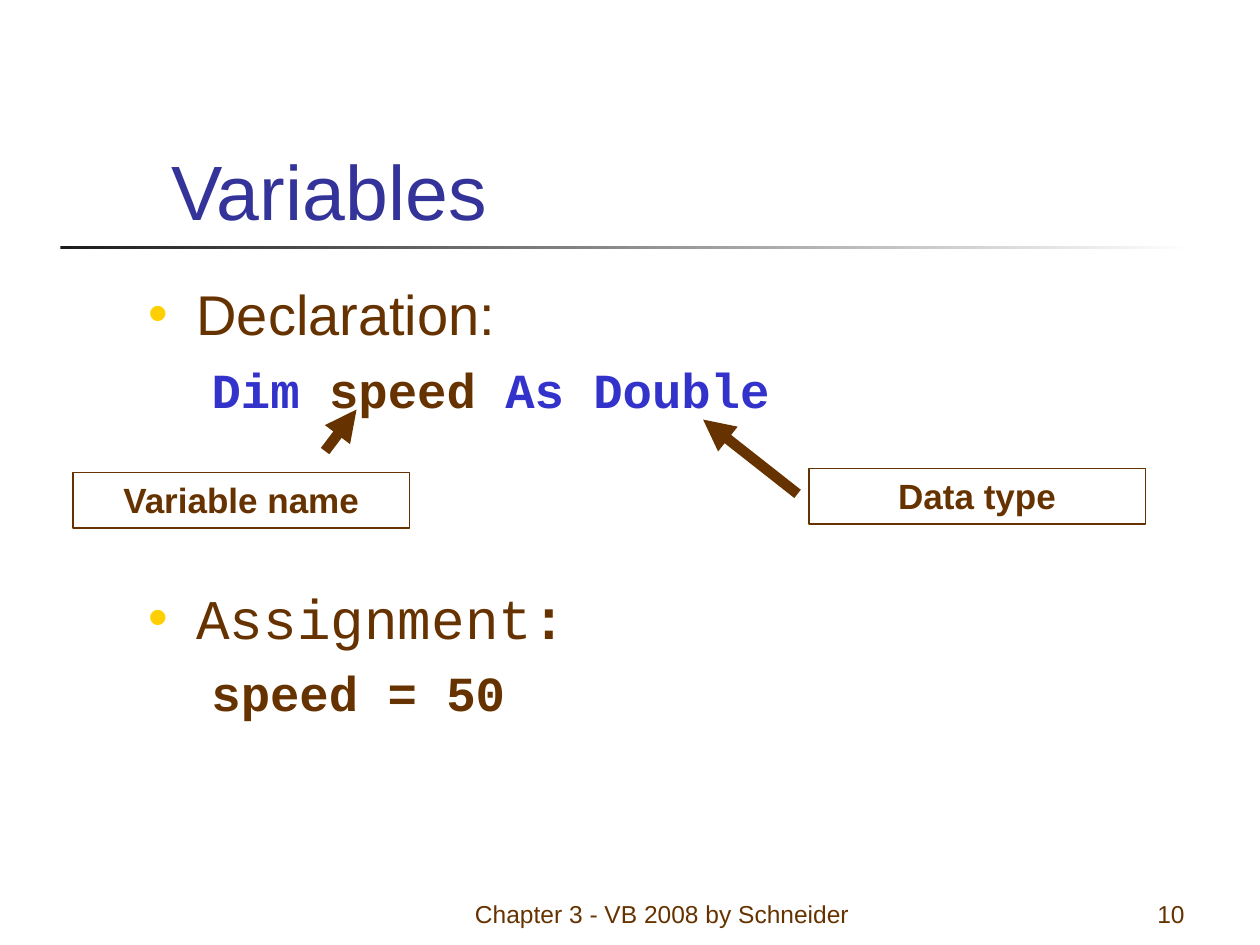
from lxml import etree
from pptx import Presentation
from pptx import util as u
from pptx.dml.color import RGBColor
from pptx.enum import shapes, text
from pptx.oxml.ns import qn

COLORS = {"brown": "663300", "title": "333399", "keyword": "3333CC",
          "bullet": "FFCF01", "dark": "1C1C1C", "white": "FFFFFF"}
SANS, MONO = "Arial", "Courier New"
LEFT, CENTER, RIGHT = text.PP_ALIGN.LEFT, text.PP_ALIGN.CENTER, text.PP_ALIGN.RIGHT

# Each list holds a bulleted heading and a code line; a run is
# (words, font, bold, colour).
DECLARATION = [
    [("Declaration:", SANS, False, "brown")],
    [("Dim", MONO, True, "keyword"), (" speed ", MONO, True, "brown"),
     ("As Double", MONO, True, "keyword")],
]
ASSIGNMENT = [
    [("Assignment", MONO, False, "brown"), (":", MONO, True, "brown")],
    [("speed = 50", MONO, True, "brown")],
]
# Size, space before, left margin, first-line indent, bullet
LEVELS = [(32, 8, 0.38, -0.38, True), (28, 7, 0.81, -0.31, False)]

LABELS = [("Variable name", 0.58, 3.75), ("Data type", 6.42, 3.72)]
ARROWS = [((2.58, 3.58), (2.83, 3.25)), ((6.33, 3.92), (5.58, 3.33))]
FOOTERS = [("Chapter 3 - VB 2008 by Schneider", 3.67, 3.17, CENTER),
           ("10", 7.42, 2.08, RIGHT)]


def rgb(name):
    return RGBColor.from_string(COLORS[name])


def place(shape, left, top, width, height):
    shape.left, shape.top = u.Inches(left), u.Inches(top)
    shape.width, shape.height = u.Inches(width), u.Inches(height)


def prepare(shape, anchor):
    frame = shape.text_frame
    frame.word_wrap = True
    frame.auto_size = text.MSO_AUTO_SIZE.NONE
    frame.vertical_anchor = anchor
    frame.margin_left = frame.margin_right = u.Inches(0.1)
    frame.margin_top = frame.margin_bottom = u.Inches(0.05)
    return frame


def add_run(para, words, size, font=SANS, bold=False, color="brown"):
    span = para.add_run()
    span.text = words
    span.font.size = u.Pt(size)
    span.font.name = font
    span.font.bold = bold
    span.font.color.rgb = rgb(color)


def write_line(shape, words, size, align, anchor, bold=False, color="brown", before=0):
    para = prepare(shape, anchor).paragraphs[0]
    para.alignment = align
    para.space_before = u.Pt(before)
    add_run(para, words, size, bold=bold, color=color)


def set_bullet(para, margin, indent, shown):
    props = para._p.get_or_add_pPr()
    props.set("marL", str(u.Inches(margin)))
    props.set("indent", str(u.Inches(indent)))
    if not shown:
        etree.SubElement(props, qn("a:buNone"))
        return
    color = etree.SubElement(props, qn("a:buClr"))
    etree.SubElement(color, qn("a:srgbClr"), val=COLORS["bullet"])
    etree.SubElement(props, qn("a:buFont"), typeface=SANS)
    etree.SubElement(props, qn("a:buChar"), char="•")


def write_list(shape, lines):
    frame = prepare(shape, text.MSO_ANCHOR.TOP)
    for level, (runs, style) in enumerate(zip(lines, LEVELS)):
        size, before, margin, indent, bulleted = style
        para = frame.add_paragraph() if level else frame.paragraphs[0]
        para.level = level
        para.alignment = LEFT
        para.space_before = u.Pt(before)
        set_bullet(para, margin, indent, bulleted)
        for words, font, bold, color in runs:
            add_run(para, words, size, font, bold, color)


def add_box(page, left, top, width, height):
    box = page.shapes.add_shape(shapes.MSO_SHAPE.RECTANGLE, 0, 0, 0, 0)
    place(box, left, top, width, height)
    box.shadow.inherit = False
    return box


def add_text_box(page, left, top, width, height):
    return page.shapes.add_textbox(*map(u.Inches, (left, top, width, height)))


def add_rule(page):
    rule = add_box(page, 0.48, 1.95, 9, 0.03)
    rule.line.fill.background()
    rule.fill.gradient()
    rule.fill.gradient_angle = 0
    for stop, color, position in zip(rule.fill.gradient_stops, ("dark", "white"), (0, 1)):
        stop.color.rgb = rgb(color)
        stop.position = position


def add_label(page, words, left, top):
    label = add_box(page, left, top, 2.67, 0.44)
    label.fill.background()
    label.line.color.rgb = rgb("brown")
    label.line.width = u.Pt(0.75)
    write_line(label, words, 20, CENTER, text.MSO_ANCHOR.TOP, bold=True, before=12.5)


def add_arrow(page, start, end):
    arrow = page.shapes.add_connector(
        shapes.MSO_CONNECTOR.STRAIGHT, *map(u.Inches, start + end))
    arrow.line.color.rgb = rgb("brown")
    arrow.line.width = u.Pt(6)
    etree.SubElement(arrow.line._get_or_add_ln(), qn("a:tailEnd"), type="triangle")
    etree.SubElement(arrow._element.spPr, qn("a:effectLst"))


def main():
    deck = Presentation()
    deck.slide_width, deck.slide_height = u.Inches(10), u.Inches(7.5)
    page = deck.slides.add_slide(deck.slide_layouts[1])
    page.background.fill.solid()
    page.background.fill.fore_color.rgb = rgb("white")

    add_rule(page)
    for words, left, width, align in FOOTERS:
        footer = add_text_box(page, left, 6.92, width, 0.5)
        write_line(footer, words, 14, align, text.MSO_ANCHOR.BOTTOM)

    title, body = page.shapes.title, page.placeholders[1]
    place(title, 1.26, 0.67, 8.52, 1.25)
    write_line(title, "Variables", 44, LEFT, text.MSO_ANCHOR.BOTTOM, color="title")
    place(body, 1.08, 2.17, 8.71, 2.08)
    write_list(body, DECLARATION)

    for label in LABELS:
        add_label(page, *label)
    for start, end in ARROWS:
        add_arrow(page, start, end)
    write_list(add_text_box(page, 1.08, 4.58, 8.71, 1.25), ASSIGNMENT)
    deck.save("out.pptx")


if __name__ == "__main__":
    main()
